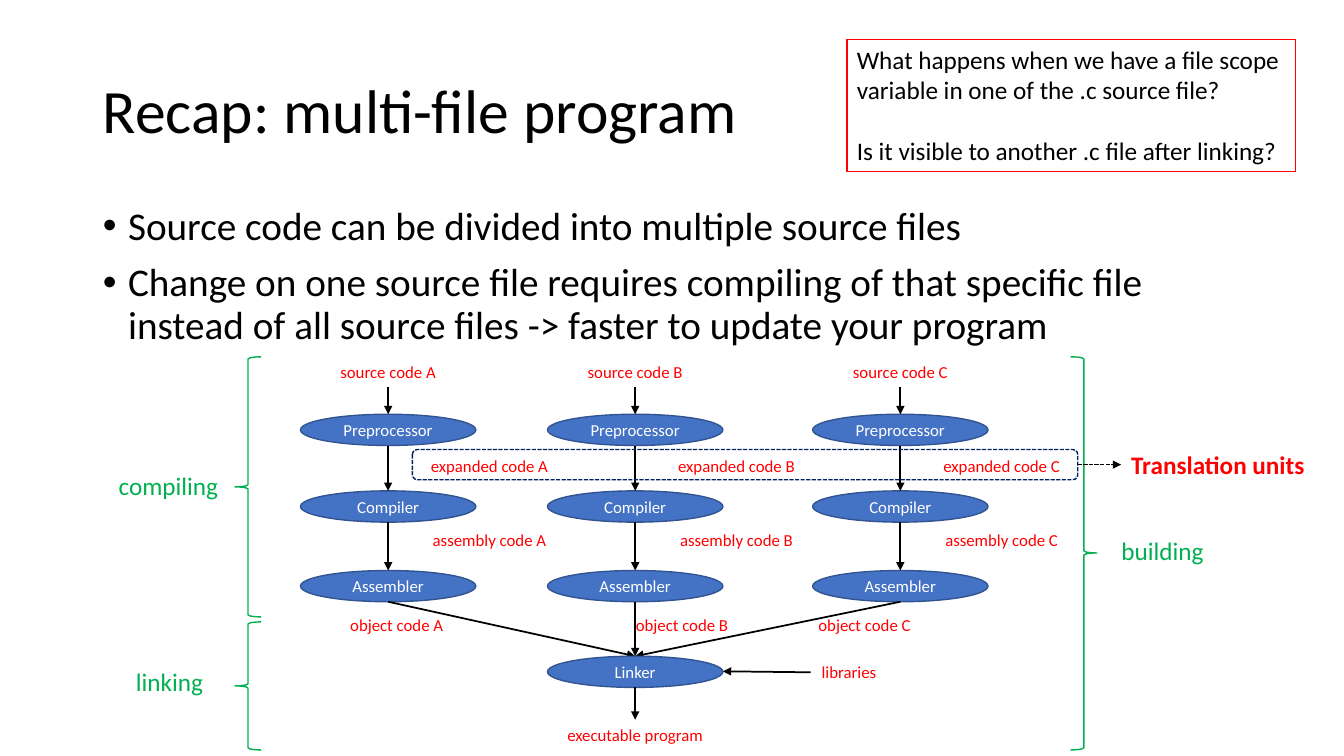
from lxml.etree import SubElement
from pptx import Presentation
from pptx.dml.color import RGBColor
from pptx.enum.dml import MSO_LINE
from pptx.enum.shapes import MSO_CONNECTOR, MSO_SHAPE
from pptx.enum.text import MSO_ANCHOR, MSO_AUTO_SIZE, PP_ALIGN
from pptx.oxml.ns import qn
from pptx.util import Inches, Pt

TITLE = "Recap: multi-file program"
BULLETS = [
    "Source code can be divided into multiple source files",
    "Change on one source file requires compiling of that specific file "
    "instead of all source files -> faster to update your program",
]
QUESTIONS = [
    "What happens when we have a file scope variable in one of the .c source file?",
    "Is it visible to another .c file after linking?",
]
# file, column centre, left of its object code label
FILES = [("A", 3.85, 3.15), ("B", 6.3, 5.98), ("C", 8.93, 7.79)]
STAGES = [("Preprocessor", 4.11), ("Compiler", 4.87), ("Assembler", 5.66)]
# label, offset from the column centre, top, width
CODE_LABELS = [
    ("source code", -0.73, 3.54, 1.46),
    ("expanded code", 0.08, 4.47, 1.85),
    ("assembly code", 0.08, 5.21, 1.85),
]
# brace shape, left, top, height, adjustments, label, label left, label top
PHASES = [
    (MSO_SHAPE.LEFT_BRACE, 2.33, 3.54, 2.58, (0.083, 0.5), "compiling", 1.06, 4.62),
    (MSO_SHAPE.LEFT_BRACE, 2.33, 6.17, 1.27, (0.083, 0.5), "linking", 1.07, 6.56),
    (MSO_SHAPE.RIGHT_BRACE, 10.62, 3.54, 3.9, (0.083, 0.499), "building", 10.92, 5.26),
]
BLACK, WHITE, RED, GREEN = "000000", "FFFFFF", "FF0000", "00B050"
BLUE, BLUE_EDGE, NAVY = "4472C4", "325491", "002060"
STAGE_W, STAGE_H = 1.74, 0.31
LINKER_X, LINKER_Y = 6.3, 6.51
SOURCE_BOTTOM = 3.84


def rgb(value):
    return RGBColor.from_string(value)


def write(tf, lines, size, color, align=PP_ALIGN.CENTER, bold=False, **paragraph):
    """Fill a text frame; extra keywords are paragraph attributes."""
    tf.word_wrap = True
    for i, line in enumerate(lines):
        p = tf.paragraphs[0] if i == 0 else tf.add_paragraph()
        for name, value in {"alignment": align, **paragraph}.items():
            setattr(p, name, value)
        r = p.add_run()
        r.text = line
        formats = {"name": "Calibri", "size": Pt(size), "bold": bold}
        for name, value in formats.items():
            setattr(r.font, name, value)
        r.font.color.rgb = rgb(color)


def add_label(s, text, x, y, w, h=0.3, size=12, color=RED, **style):
    box = s.shapes.add_textbox(Inches(x), Inches(y), Inches(w), Inches(h))
    write(box.text_frame, [text], size, color, **style)


def add_outline(s, kind, x, y, w, h, line, fill=None, dash=None):
    sp = s.shapes.add_shape(kind, Inches(x), Inches(y), Inches(w), Inches(h))
    sp.shadow.inherit = False
    if fill:
        sp.fill.solid()
        sp.fill.fore_color.rgb = rgb(fill)
    else:
        sp.fill.background()
    sp.line.color.rgb = rgb(line)
    sp.line.width = Pt(1)
    if dash:
        sp.line.dash_style = dash
    return sp


def add_stage(s, text, center, y):
    sp = add_outline(s, MSO_SHAPE.OVAL, center - STAGE_W / 2, y,
                     STAGE_W, STAGE_H, BLUE_EDGE, BLUE)
    sp.text_frame.vertical_anchor = MSO_ANCHOR.MIDDLE
    write(sp.text_frame, [text], 12, WHITE)


def add_arrow(s, x1, y1, x2, y2, width=1.25, dash=None):
    c = s.shapes.add_connector(MSO_CONNECTOR.STRAIGHT, Inches(x1), Inches(y1),
                               Inches(x2), Inches(y2))
    c.line.color.rgb = rgb(BLACK)
    c.line.width = Pt(width)
    if dash:
        c.line.dash_style = dash
    SubElement(c.line._get_or_add_ln(), qn("a:tailEnd"), type="triangle")
    SubElement(c._element.spPr, qn("a:effectLst"))


def place(sp, x, y, w, h):
    sp.left, sp.top, sp.width, sp.height = (Inches(v) for v in (x, y, w, h))
    sp.text_frame.auto_size = MSO_AUTO_SIZE.NONE


def add_heading(s):
    title, body = s.placeholders
    place(title, 0.92, 0.4, 11.5, 1.45)
    title.text_frame.vertical_anchor = MSO_ANCHOR.MIDDLE
    write(title.text_frame, [TITLE], 44, BLACK, PP_ALIGN.LEFT, line_spacing=0.9)
    place(body, 0.92, 2, 11.5, 1.62)
    write(body.text_frame, BULLETS, 28, BLACK, PP_ALIGN.LEFT,
          line_spacing=0.9, space_before=Pt(10))
    for p in body.text_frame.paragraphs:
        pPr = p._p.get_or_add_pPr()
        pPr.set("marL", str(Inches(0.25)))
        pPr.set("indent", str(-Inches(0.25)))
        SubElement(pPr, qn("a:buFont"), typeface="Arial")
        SubElement(pPr, qn("a:buChar"), char="•")


def add_pipeline(s):
    for name, center, object_x in FILES:
        start = SOURCE_BOTTOM
        for stage, y in STAGES:
            add_stage(s, stage, center, y)
            add_arrow(s, center, start, center, y)
            start = y + STAGE_H
        add_arrow(s, center, start, LINKER_X, LINKER_Y)
        for text, offset, y, w in CODE_LABELS:
            add_label(s, f"{text} {name}", center + offset, y, w)
        add_label(s, f"object code {name}", object_x, 6.05, 1.57)

    add_stage(s, "Linker", LINKER_X, LINKER_Y)
    add_arrow(s, LINKER_X, LINKER_Y + STAGE_H, LINKER_X, 7.14)
    add_label(s, "executable program", 5.37, 7.14, 1.86)
    add_arrow(s, 8.04, 6.67, LINKER_X + STAGE_W / 2, 6.66)
    add_label(s, "libraries", 8.02, 6.52, 0.8)


def add_annotations(s):
    for kind, x, y, h, adjustments, text, label_x, label_y in PHASES:
        brace = add_outline(s, kind, x, y, 0.26, h, GREEN)
        for i, value in enumerate(adjustments):
            brace.adjustments[i] = value
        add_label(s, text, label_x, label_y, 1.22, 0.4, 18, GREEN)

    dash = MSO_LINE.SQUARE_DOT
    add_outline(s, MSO_SHAPE.ROUNDED_RECTANGLE, 4.09, 4.46, 6.6, 0.3, NAVY, dash=dash)
    add_arrow(s, 10.69, 4.61, 11.12, 4.61, 1, dash)
    add_label(s, "Translation units", 11.12, 4.41, 2.13, 0.4, 18,
              align=PP_ALIGN.LEFT, bold=True)

    box = add_outline(s, MSO_SHAPE.RECTANGLE, 8.4, 0.39, 4.45, 1.31, RED)
    tf = box.text_frame
    tf.vertical_anchor = MSO_ANCHOR.TOP
    write(tf, QUESTIONS, 18, BLACK, PP_ALIGN.LEFT)
    tf.paragraphs[1].space_before = Pt(22)


def main():
    prs = Presentation()
    prs.slide_width, prs.slide_height = Inches(13.33), Inches(7.5)
    s = prs.slides.add_slide(prs.slide_layouts[1])
    add_heading(s)
    add_pipeline(s)
    add_annotations(s)
    prs.save("out.pptx")


if __name__ == "__main__":
    main()
